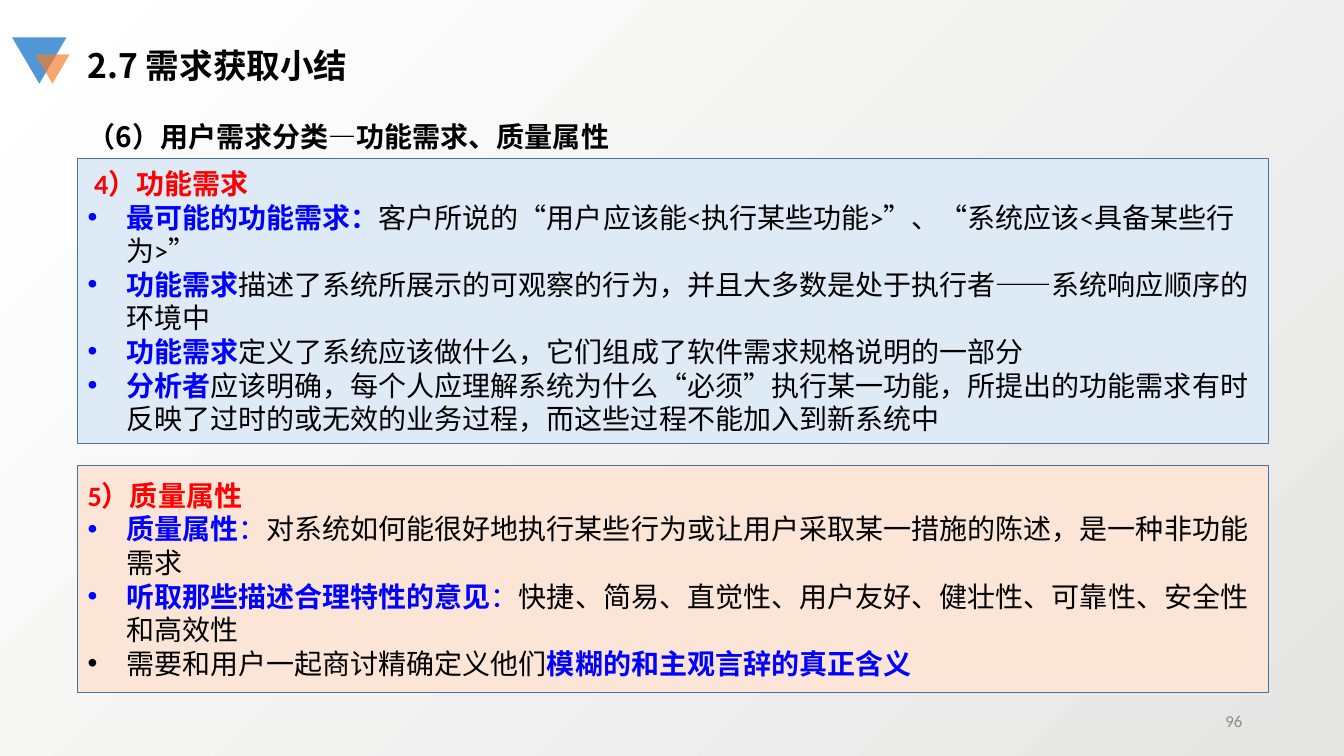
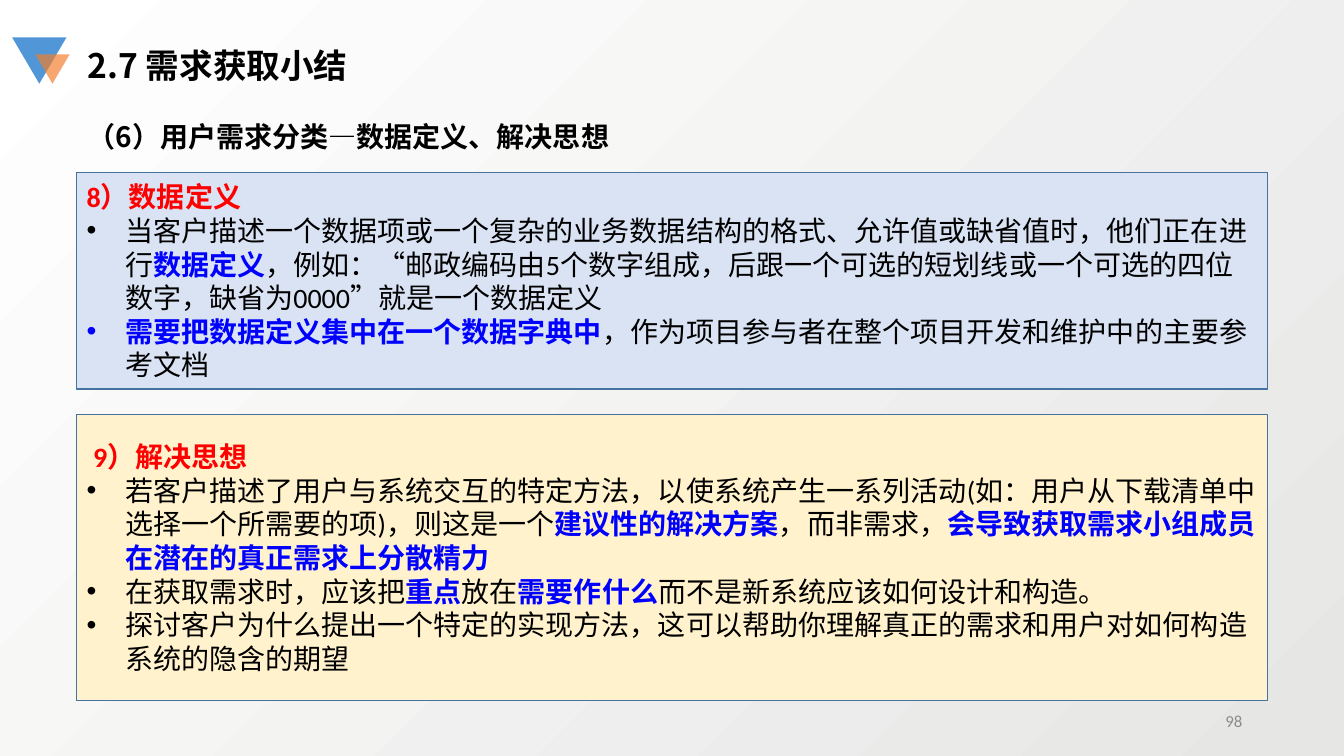
"""Build two slides that sum up how user requirements are classified."""
from dataclasses import dataclass

from lxml.etree import SubElement
from pptx import Presentation
from pptx.dml.color import RGBColor
from pptx.enum.lang import MSO_LANGUAGE_ID
from pptx.enum.shapes import MSO_SHAPE
from pptx.enum.text import MSO_ANCHOR, MSO_AUTO_SIZE, PP_ALIGN
from pptx.oxml.ns import qn
from pptx.util import Inches, Pt


@dataclass(frozen=True)
class Theme:
    ink: str = "000000"
    red: str = "FF0000"
    blue: str = "0000FF"
    gray: str = "8C8C8C"
    edge: str = "43739E"
    dark: str = "E6E6E5"
    light: str = "FFFFFF"
    sky: str = "5197D7"
    orange: str = "F37D2A"
    latin: str = "Calibri"
    han: str = "Noto Sans CJK SC"
    title: int = 24
    body: int = 20
    page: int = 12
    lead: float = 1.2


theme = Theme()
styles = {
    "title": (theme.title, theme.han, theme.ink, True),
    "sub": (theme.body, theme.han, theme.ink, True),
    "head": (theme.body, theme.latin, theme.red, True),
    "key": (theme.body, theme.latin, theme.blue, True),
    "mark": (theme.body, theme.latin, theme.blue, False),
    "text": (theme.body, theme.latin, theme.ink, False),
    "page": (theme.page, theme.latin, theme.gray, False),
}
marks = [
    ((0.12, 0.37, 0.54, 0.46), theme.sky, 100),
    ((0.35, 0.54, 0.34, 0.29), theme.orange, 68),
]
pages = [
    {
        "num": "96",
        "sub": "（6）用户需求分类—功能需求、质量属性",
        "boxes": [
            ((0.77, 1.57, 11.81, 2.83), "DEEBF7", [
                [("head", " 4）功能需求")],
                [("key", "最可能的功能需求："),
                 ("text", "客户所说的“用户应该能<执行某些功能>”、“系统应该<具备某些行为>”")],
                [("key", "功能需求"),
                 ("text", "描述了系统所展示的可观察的行为，并且大多数是处于执行者——系统响应顺序的环境中")],
                [("key", "功能需求"),
                 ("text", "定义了系统应该做什么，它们组成了软件需求规格说明的一部分")],
                [("key", "分析者"),
                 ("text", "应该明确，每个人应理解系统为什么“必须”执行某一功能，所提出的功能需求有时"
                          "反映了过时的或无效的业务过程，而这些过程不能加入到新系统中")],
            ]),
            ((0.77, 4.62, 11.81, 2.25), "FBE5D6", [
                [("head", "5）质量属性")],
                [("key", "质量属性"), ("mark", "："),
                 ("text", "对系统如何能很好地执行某些行为或让用户采取某一措施的陈述，是一种非功能需求")],
                [("key", "听取那些描述合理特性的意见"), ("mark", "："),
                 ("text", "快捷、简易、直觉性、用户友好、健壮性、可靠性、安全性和高效性")],
                [("text", "需要和用户一起商讨精确定义他们"),
                 ("key", "模糊的和主观言辞的真正含义")],
            ]),
        ],
    },
    {
        "num": "98",
        "sub": "（6）用户需求分类—数据定义、解决思想",
        "boxes": [
            ((0.76, 1.71, 11.81, 2.15), "DAE3F3", [
                [("head", "8）数据定义")],
                [("text", "当客户描述一个数据项或一个复杂的业务数据结构的格式、允许值或缺省值时，他们正在进行"),
                 ("key", "数据定义"),
                 ("text", "，例如：“邮政编码由5个数字组成，后跟一个可选的短划线或一个可选的四位数字，"
                          "缺省为0000”就是一个数据定义")],
                [("key", "需要把数据定义集中在一个数据字典中"),
                 ("text", "，作为项目参与者在整个项目开发和维护中的主要参考文档")],
            ]),
            ((0.76, 4.11, 11.81, 2.84), "FFF2CC", [
                [("head", " 9）解决思想")],
                [("text", "若客户描述了用户与系统交互的特定方法，以使系统产生一系列活动"
                          "(如：用户从下载清单中选择一个所需要的项)，则这是一个"),
                 ("key", "建议性的解决方案"), ("text", "，而非需求，"),
                 ("key", "会导致获取需求小组成员在潜在的真正需求上分散精力")],
                [("text", "在获取需求时，应该把"), ("key", "重点"), ("text", "放在"),
                 ("key", "需要作什么"), ("text", "而不是新系统应该如何设计和构造。")],
                [("text", "探讨客户为什么提出一个特定的实现方法，这可以帮助你理解真正的需求"
                          "和用户对如何构造系统的隐含的期望")],
            ]),
        ],
    },
]


def place(shape, spot):
    shape.left, shape.top, shape.width, shape.height = map(Inches, spot)


def write(shape, paras, align=PP_ALIGN.LEFT):
    frame = shape.text_frame
    frame.word_wrap = True
    frame.auto_size = MSO_AUTO_SIZE.NONE
    frame.vertical_anchor = MSO_ANCHOR.MIDDLE
    for i, runs in enumerate(paras):
        para = frame.add_paragraph() if i else frame.paragraphs[0]
        para.alignment = align
        para.line_spacing = Pt(styles[runs[0][0]][0] * theme.lead)
        para.space_before = Pt(0)
        props = para._p.get_or_add_pPr()
        inset = Inches(0.38) if i else 0
        props.set("marL", str(inset))
        props.set("indent", str(-inset))
        if i:
            SubElement(props, qn("a:buFont"), typeface="Arial")
            SubElement(props, qn("a:buChar"), char="•")
        else:
            SubElement(props, qn("a:buNone"))
        for style, words in runs:
            size, face, color, bold = styles[style]
            run = para.add_run()
            run.text = words
            font = run.font
            font.size, font.name, font.bold = Pt(size), face, bold
            font.color.rgb = RGBColor.from_string(color)
            font.language_id = MSO_LANGUAGE_ID.SIMPLIFIED_CHINESE
            SubElement(run._r.get_or_add_rPr(), qn("a:ea"), typeface=theme.han)


deck = Presentation()
deck.slide_width, deck.slide_height = Inches(13.33), Inches(7.5)
back = deck.slide_master.background.fill
back.gradient()
back.gradient_angle = 135
for stop, color in zip(back.gradient_stops, (theme.dark, theme.light)):
    stop.color.rgb = RGBColor.from_string(color)

for page in pages:
    slide = deck.slides.add_slide(deck.slide_layouts.get_by_name("Two Content"))
    for spot, color, solid in marks:
        mark = slide.shapes.add_shape(MSO_SHAPE.ISOSCELES_TRIANGLE, *map(Inches, spot))
        mark.rotation = 180
        mark.shadow.inherit = False
        mark.line.fill.background()
        mark.fill.solid()
        mark.fill.fore_color.rgb = RGBColor.from_string(color)
        if solid < 100:
            tint = mark._element.spPr.find(".//" + qn("a:srgbClr"))
            SubElement(tint, qn("a:alpha"), val=str(solid * 1000))

    title, *bodies = slide.placeholders
    place(title, (0.77, 0.4, 3.35, 0.5))
    write(title, [[("title", "2.7 需求获取小结")]])

    sub = slide.shapes.add_textbox(*map(Inches, (0.77, 1.13, 8.49, 0.44)))
    write(sub, [[("sub", page["sub"])]])

    for body, (spot, color, paras) in zip(bodies, page["boxes"]):
        place(body, spot)
        body.fill.solid()
        body.fill.fore_color.rgb = RGBColor.from_string(color)
        body.line.color.rgb = RGBColor.from_string(theme.edge)
        body.line.width = Pt(1)
        write(body, paras)

    num = slide.shapes.add_textbox(*map(Inches, (9.42, 6.95, 3, 0.4)))
    write(num, [[("page", page["num"])]], PP_ALIGN.RIGHT)

deck.save("out.pptx")
